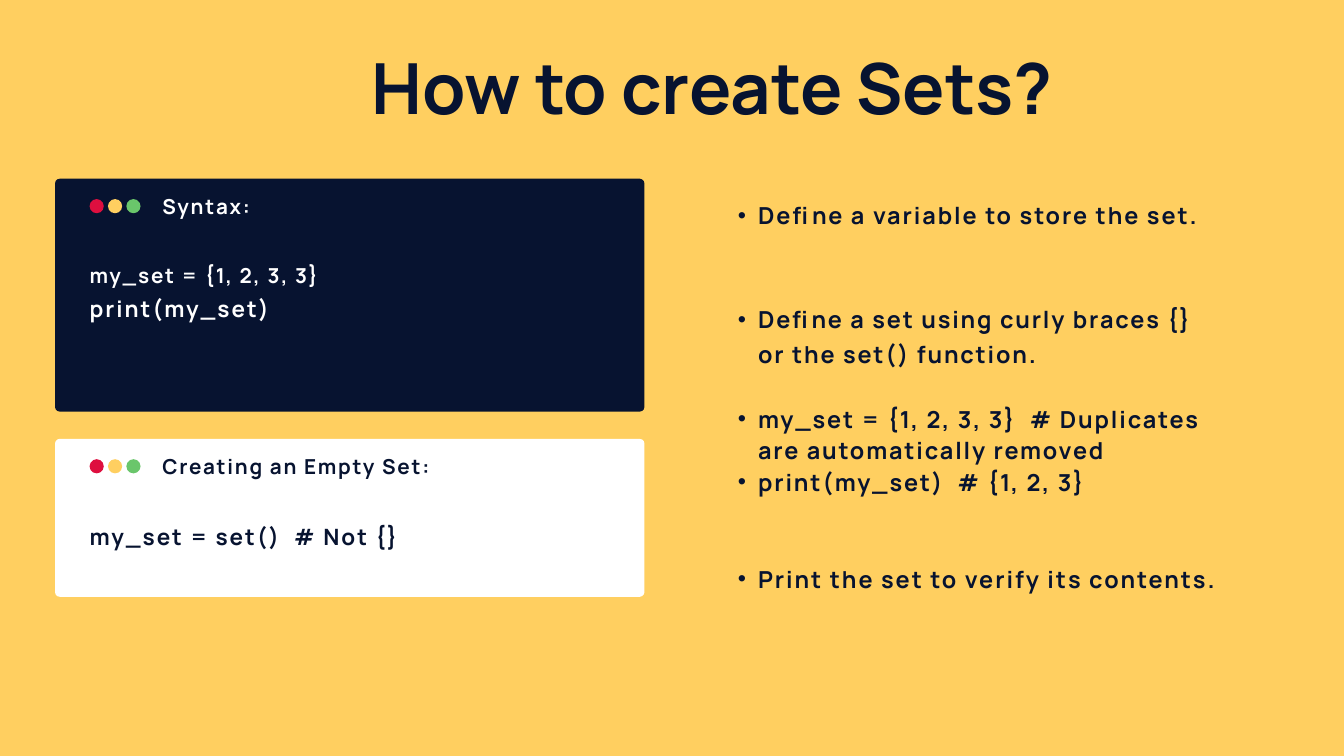
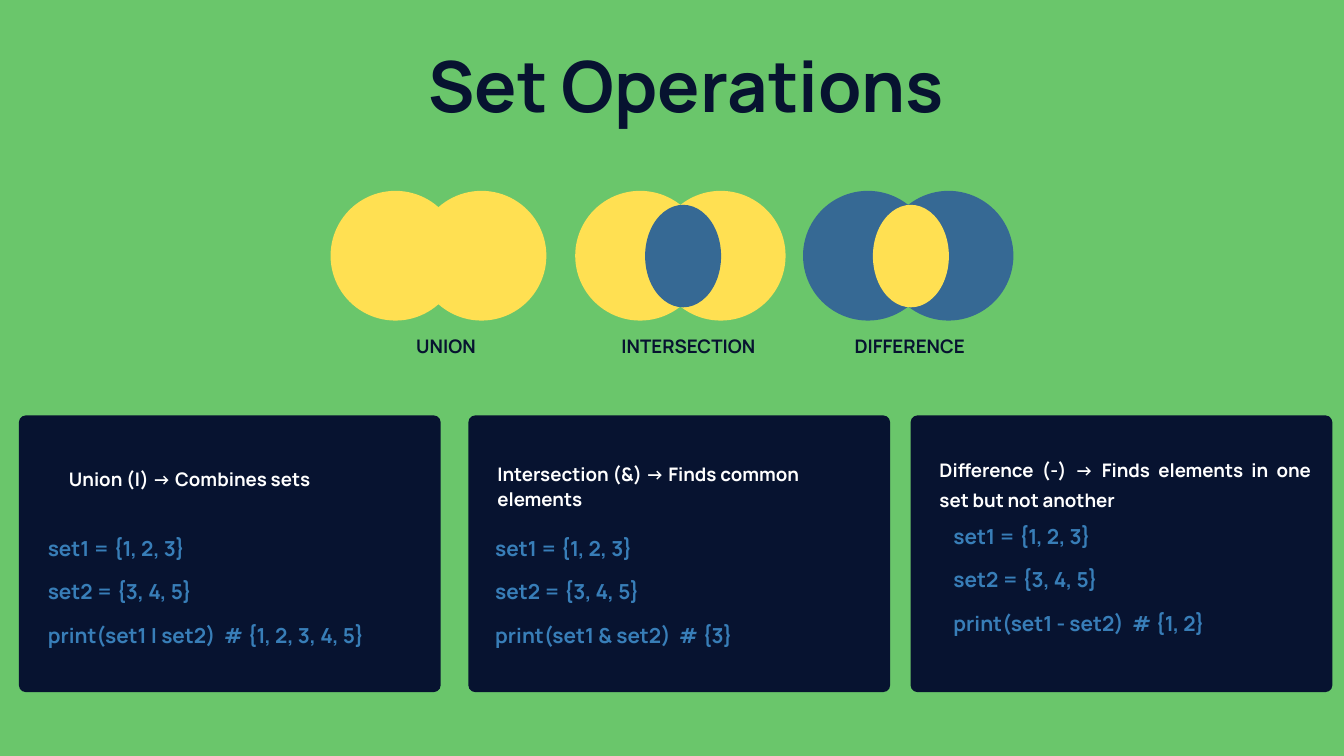
from pptx import Presentation
from pptx.dml.color import RGBColor
from pptx.enum.shapes import MSO_SHAPE
from pptx.enum.text import MSO_ANCHOR, MSO_AUTO_SIZE, PP_ALIGN
from pptx.oxml.ns import qn
from pptx.util import Pt
from lxml.etree import SubElement

FONT = "Manrope"
COLORS = {
    "navy": "071330",
    "white": "FFFFFF",
    "amber": "FFCF60",
    "green": "6AC66B",
    "red": "DE0F3F",
    "yellow": "FFE052",
    "blue": "366994",
    "code": "387EB8",
}


def color(name):
    return RGBColor.from_string(COLORS[name])


def points(*lengths):
    return [Pt(length) for length in lengths]


def add_filled(slide, preset, box, fill, radius=None):
    shape = slide.shapes.add_shape(preset, *points(*box))
    shape.shadow.inherit = False
    shape.fill.solid()
    shape.fill.fore_color.rgb = color(fill)
    shape.line.fill.background()
    if radius:
        shape.adjustments[0] = radius / min(box[2:])
    return shape


def prepare_frame(frame):
    frame.margin_left = frame.margin_top = frame.margin_right = frame.margin_bottom = 0
    frame.word_wrap = True
    frame.auto_size = MSO_AUTO_SIZE.NONE
    frame.vertical_anchor = MSO_ANCHOR.TOP


def write(frame, lines, ink, align=PP_ALIGN.LEFT):
    """Fill a frame with lines of (text, size, leading, tracking, space before)."""
    prepare_frame(frame)
    for index, (text, size, leading, tracking, before) in enumerate(lines):
        paragraph = frame.paragraphs[0] if index == 0 else frame.add_paragraph()
        paragraph.text = text
        paragraph.alignment = align
        paragraph.line_spacing = Pt(leading)
        paragraph.space_before = Pt(before)
        paragraph.space_after = Pt(0)
        font = paragraph.font
        font.name, font.size, font.bold = FONT, Pt(size), True
        font.color.rgb = color(ink)
        if tracking:
            font._element.set("spc", str(round(tracking * 100)))


def add_text(slide, box, lines, ink, align=PP_ALIGN.LEFT):
    write(slide.shapes.add_textbox(*points(*box)).text_frame, lines, ink, align)


def place(placeholder, box):
    placeholder.left, placeholder.top, placeholder.width, placeholder.height = points(*box)


def add_slide(deck, layout, background, title, title_box):
    slide = deck.slides.add_slide(deck.slide_layouts.get_by_name(layout))
    slide.background.fill.solid()
    slide.background.fill.fore_color.rgb = color(background)
    place(slide.shapes.title, title_box)
    write(slide.shapes.title.text_frame, [(title, 75.5, 78.5, 0, 0)], "navy", PP_ALIGN.RIGHT)
    return slide


def add_code_window(slide, box, fill, ink, heading, code):
    """Draw a panel with three window buttons, a heading and code lines."""
    left, top, width, _ = box
    add_filled(slide, MSO_SHAPE.ROUNDED_RECTANGLE, box, fill, radius=5)
    for index, button in enumerate(("red", "amber", "green")):
        add_filled(slide, MSO_SHAPE.OVAL,
                   (left + 37 + 19.7 * index, top + 21.8, 15.2, 15.2), button)
    add_text(slide, (left + 115, top + 9.3, 324, 33), [(heading, 22.1, 33.8, 1.9, 0)], ink)
    add_text(slide, (left + 37, top + 82.5, width - 95, 36 * len(code)), code, ink)


def add_steps(slide, box, steps):
    body = slide.placeholders[1]
    place(body, box)
    write(body.text_frame, steps, "navy")
    for paragraph in body.text_frame.paragraphs:
        properties = paragraph._p.get_or_add_pPr()
        properties.set("marL", str(Pt(42.5)))
        properties.set("indent", str(-Pt(21.6)))
        bullet = SubElement(properties, qn("a:buChar"))
        bullet.set("char", "•")
        defaults = properties.find(qn("a:defRPr"))
        defaults.addprevious(bullet)


def add_venn(slide, left, top, spread, fill, overlap, caption, caption_right):
    """Draw two circles spread apart, an optional overlap and a caption below."""
    for offset in (0, spread):
        add_filled(slide, MSO_SHAPE.OVAL, (left + offset, top, 139, 139), fill)
    if overlap:
        add_filled(slide, MSO_SHAPE.OVAL, (left + 74.9, top + 15, 81.4, 109.8), overlap)
    add_text(slide, (left, top + 157, caption_right, 23),
             [(caption, 20, 20.8, 0, 0)], "navy", PP_ALIGN.RIGHT)


def add_operation_card(slide, box, heading, heading_box, leading, align, code, code_at):
    """Draw a card; heading_box and code_at are relative to its corner."""
    left, top, *_ = box
    add_filled(slide, MSO_SHAPE.ROUNDED_RECTANGLE, box, "navy", radius=7.7)
    x, y, width, height = heading_box
    add_text(slide, (left + x, top + y, width, height),
             [(heading, 20, leading, 0, 0)], "white", align)
    x, y = code_at
    lines = ("set1 = {1, 2, 3}", "set2 = {3, 4, 5}", code)
    add_text(slide, (left + x, top + y, 400, 134),
             [(line, 22.2, 46.4, 0, 0) for line in lines], "code")


def build_creation_slide(deck):
    slide = add_slide(deck, "Title and Content", "amber", "How to create Sets?",
                      (364.3, 59.8, 764, 86.4))
    add_code_window(slide, (59, 191.5, 631.5, 249.5), "navy", "white", "Syntax:",
                    [("my_set = {1, 2, 3, 3}", 22.1, 33.8, 1.9, 0),
                     ("print(my_set)", 24.1, 36.8, 2.1, 0)])
    add_code_window(slide, (59, 470.2, 631.5, 169.2), "white", "navy",
                    "Creating an Empty Set:",
                    [("my_set = set()  # Not {}", 24.1, 36.8, 2.1, 0)])
    add_steps(slide, (769.7, 201.6, 536.4, 471.6), [
        ("Define a variable to store the set.", 25.1, 43.9, 2.1, 0),
        ("Define a set using curly braces {} or the set() function.", 25.1, 37.9, 2, 73.5),
        ("my_set = {1, 2, 3, 3}  # Duplicates are automatically removed", 25.1, 33.8, 2, 35),
        ("print(my_set)  # {1, 2, 3}", 25.1, 33.8, 2, 0),
        ("Print the set to verify its contents.", 25.1, 38.4, 2.1, 65.7),
    ])


def build_operations_slide(deck):
    slide = add_slide(deck, "Title Only", "green", "Set Operations",
                      (428.4, 57.6, 583.2, 86.4))
    for venn in (
        (354.2, 204.5, 92.2, "yellow", None, "UNION", 155.6),
        (616.3, 204.5, 86.4, "yellow", "blue", "INTERSECTION", 193),
        (860.4, 204.5, 86.4, "blue", "yellow", "DIFFERENCE", 173.5),
    ):
        add_venn(slide, *venn)
    for left, *content in (
        (20.2, "Union (|) → Combines sets", (31, 59, 281.5, 23), 20.8,
         PP_ALIGN.RIGHT, "print(set1 | set2)  # {1, 2, 3, 4, 5}", (31, 109.4)),
        (501.8, "Intersection (&) → Finds common elements", (31, 49.6, 396.7, 77.8), 25.8,
         PP_ALIGN.LEFT, "print(set1 & set2)  # {3}", (28.8, 109.4)),
        (975.6, "Difference (-) → Finds elements in one set but not another",
         (31, 38.8, 398.2, 94.3), 32.2,
         PP_ALIGN.JUSTIFY, "print(set1 - set2)  # {1, 2}", (46, 96.4)),
    ):
        add_operation_card(slide, (left, 445, 452, 296.6), *content)


def main():
    deck = Presentation()
    deck.slide_width, deck.slide_height = points(1440, 810)
    build_creation_slide(deck)
    build_operations_slide(deck)
    deck.save("out.pptx")


if __name__ == "__main__":
    main()
